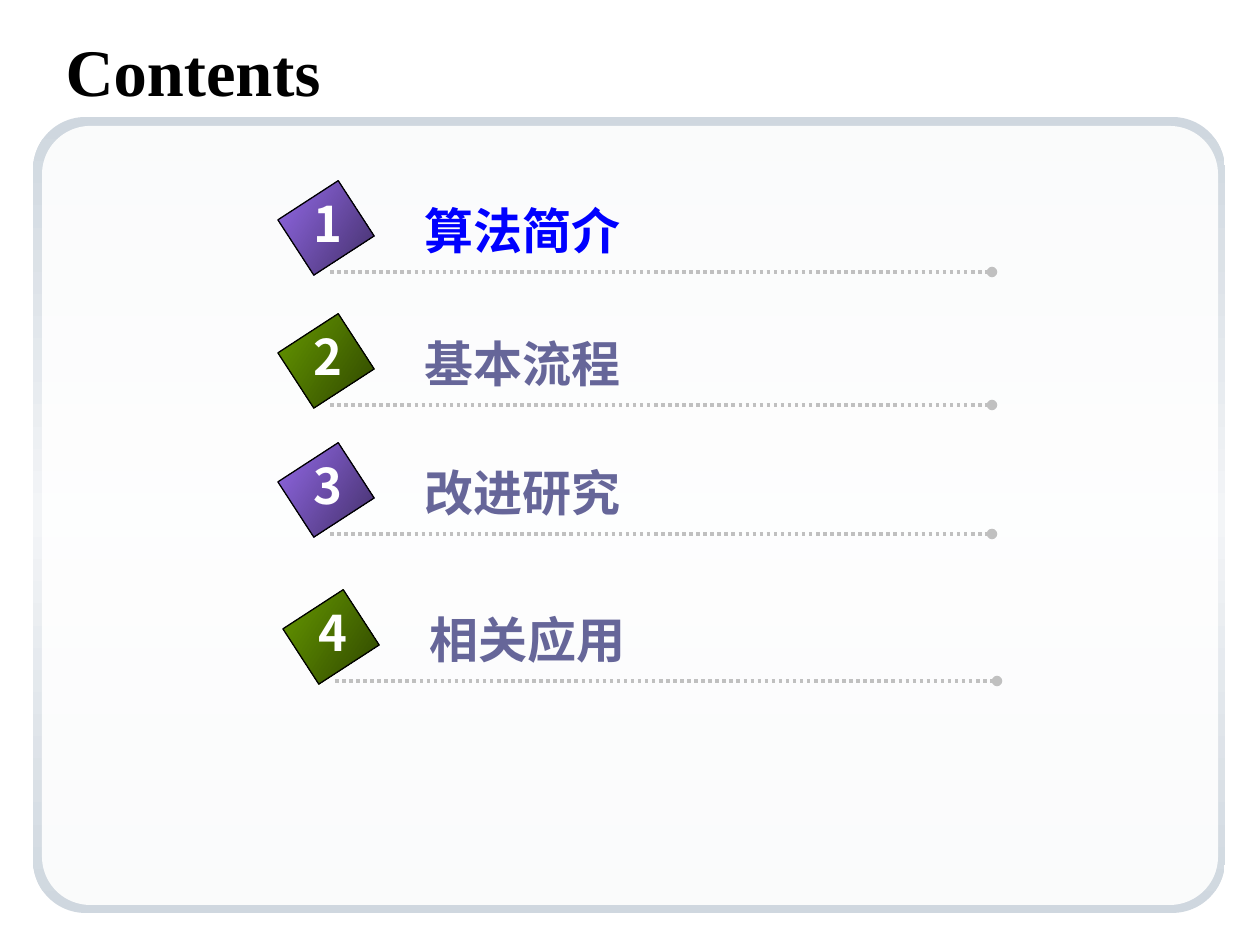
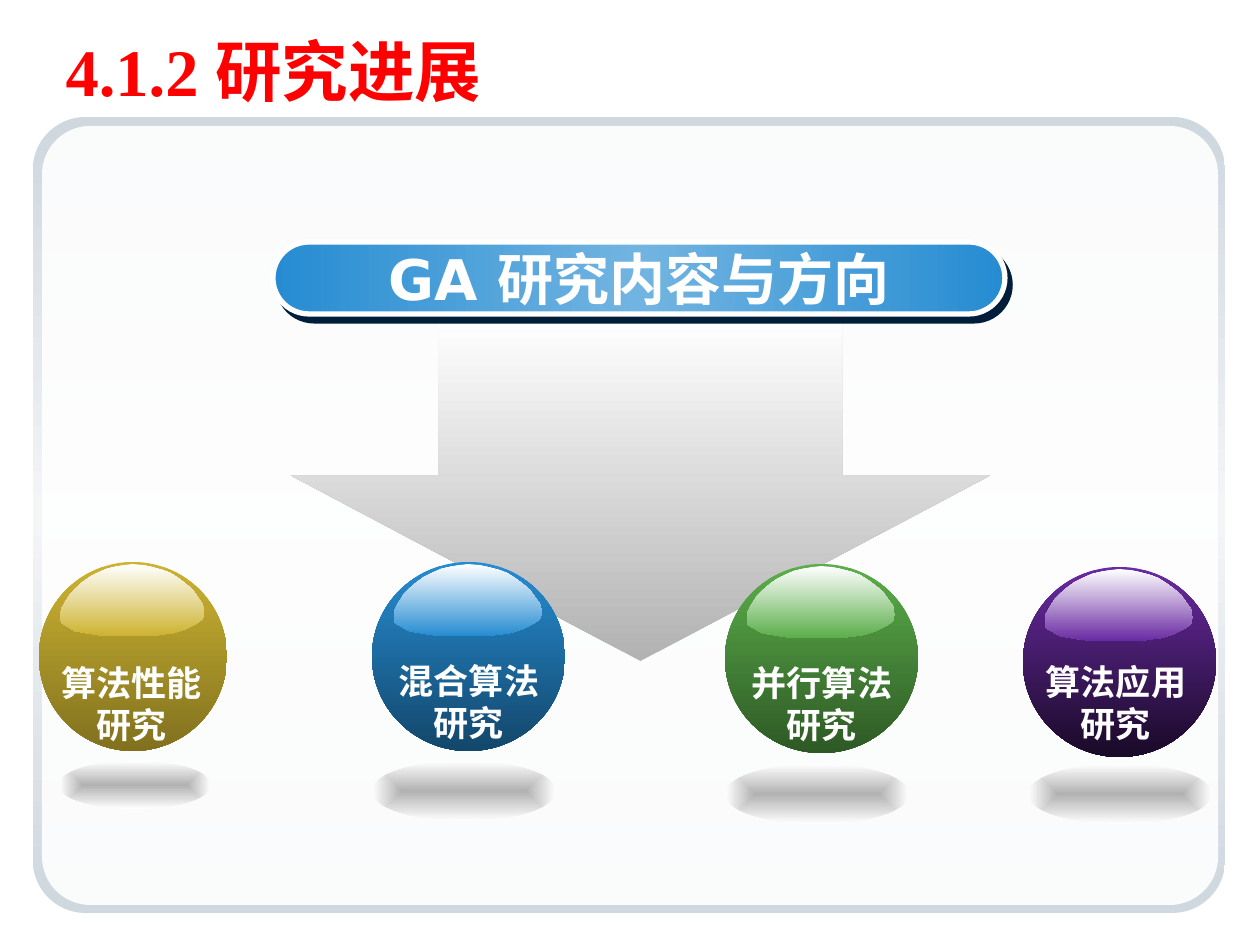
"""Builds a contents slide and a research directions slide."""
from lxml.etree import SubElement
from pptx import Presentation
from pptx.dml.color import RGBColor
from pptx.enum.dml import MSO_LINE
from pptx.enum.shapes import MSO_CONNECTOR, MSO_SHAPE
from pptx.enum.text import MSO_ANCHOR, MSO_AUTO_SIZE, PP_ALIGN
from pptx.oxml import parse_xml
from pptx.oxml.ns import nsdecls, qn
from pptx.util import Pt

PX = 914400 / 126
CJK, SERIF, SANS, BODY = "Noto Sans CJK SC", "Times New Roman", "DejaVu Sans", "Arial"
WHITE, BLACK, RED, BLUE, SLATE = "FFFFFF", "000000", "FF0000", "0000FF", "666699"
SILVER, NAVY = "C0C0C0", "001D3A"
GREY_FADE = ("B2B2B2", "FEFEFE")
FRAME_FADE = ("CFD7DF", "F3F5F7", "CFD7DF")
PILL_FADE = ("268CD2", "72B4E1", "268CD2")
DIAMOND_FADES = (("9369E7", "43306A"), ("669900", "2F4600"))

FRAME = (33, 117, 1192, 796)
PANEL = (42, 126, 1176, 779)
TITLE = (53, 31, 1176, 78)

CONTENTS = [
    ("算法简介", BLUE, 330, 272),
    ("基本流程", SLATE, 330, 405),
    ("改进研究", SLATE, 330, 534),
    ("相关应用", SLATE, 335, 681),
]

BALLS = [
    {"lines": ["算法性能", "研究"], "fade": ("CDB331", "81711F"), "ball": (39, 562, 188, 189),
     "label": (40, 655, 184, 97), "shade": (59, 761, 152, 48)},
    {"lines": ["混合算法研究"], "fade": ("268CD2", "13476B"), "ball": (372, 562, 193, 189),
     "label": (382, 653, 174, 97), "shade": (372, 761, 184, 60)},
    {"lines": ["并行算法研究"], "fade": ("5BAE4A", "2E5925"), "ball": (725, 564, 193, 189),
     "label": (735, 655, 174, 97), "shade": (725, 764, 184, 60)},
    {"lines": ["算法应用", "研究"], "fade": ("692AA2", "190A27"), "ball": (1023, 567, 193, 190),
     "label": (1024, 654, 184, 97), "shade": (1028, 764, 184, 60)},
]
BALL_WIDTH = 193
GLOSS = [
    (146, 40), (148, 49), (146, 55), (139, 60), (129, 65), (116, 69), (101, 71), (89, 72),
    (53, 72), (39, 71), (26, 69), (15, 67), (8, 63), (1, 59), (0, 53), (1, 45), (5, 38),
    (10, 30), (16, 24), (23, 18), (30, 13), (38, 9), (47, 5), (55, 3), (66, 1), (74, 0),
    (85, 1), (94, 3), (105, 6), (113, 9), (121, 14), (129, 20), (136, 26), (141, 33),
]


def emu(*lengths):
    return [round(v * PX) for v in lengths]


def color(hex_text):
    return RGBColor.from_string(hex_text)


def fade(sp, colors, angle=None):
    """Fill with evenly spaced stops, along an angle or outwards from the centre."""
    stops = "".join(
        f'<a:gs pos="{100000 * i // (len(colors) - 1)}"><a:srgbClr val="{c}"/></a:gs>'
        for i, c in enumerate(colors))
    if angle is None:
        way = ('<a:path path="rect"><a:fillToRect l="50000" t="50000" r="50000" b="50000"/>'
               '</a:path>')
    else:
        way = f'<a:lin ang="{angle * 60000}" scaled="0"/>'
    sp.fill.solid()
    spPr = sp.element.spPr
    spPr.replace(spPr.find(qn("a:solidFill")), parse_xml(
        f'<a:gradFill {nsdecls("a")} rotWithShape="0"><a:gsLst>{stops}</a:gsLst>{way}</a:gradFill>'))


def plain(sp):
    sp.shadow.inherit = False
    sp.line.fill.background()
    return sp


def add_shape(shapes, kind, box, adjustments=()):
    sp = plain(shapes.add_shape(kind, *emu(*box)))
    for i, value in enumerate(adjustments):
        sp.adjustments[i] = value
    return sp


def write(p, text, font, size, hex_text, align=PP_ALIGN.LEFT):
    p.alignment = align
    r = p.add_run()
    r.text = text
    r.font.name, r.font.size, r.font.bold = font, Pt(size), True
    r.font.color.rgb = color(hex_text)
    SubElement(r.font._element, qn("a:ea")).set("typeface", CJK)


def add_label(shapes, box, lines, font, size, hex_text, align, wrap=False):
    tf = shapes.add_textbox(*emu(*box)).text_frame
    tf.word_wrap = wrap
    tf.auto_size = MSO_AUTO_SIZE.SHAPE_TO_FIT_TEXT
    for i, line in enumerate(lines):
        p = tf.add_paragraph() if i else tf.paragraphs[0]
        write(p, line, font, size, hex_text, align)


def set_up_layout(layout, s):
    """Move the framed panel behind the layout and place its title."""
    frame = add_shape(s.shapes, MSO_SHAPE.ROUNDED_RECTANGLE, FRAME, [0.066])
    fade(frame, FRAME_FADE, 90)
    panel = add_shape(s.shapes, MSO_SHAPE.ROUNDED_RECTANGLE, PANEL, [0.062])
    panel.fill.solid()
    panel.fill.fore_color.rgb = color(WHITE)
    clr = panel.element.spPr.find(qn("a:solidFill"))[0]
    SubElement(clr, qn("a:alpha")).set("val", "90000")
    for i, sp in enumerate((frame, panel)):
        sp.element.nvSpPr.cNvPr.set("id", str(20 + i))
        layout.shapes.element.insert(2 + i, sp.element)
    title = layout.placeholders[0]
    title.left, title.top, title.width, title.height = emu(*TITLE)
    title.text_frame.vertical_anchor = MSO_ANCHOR.MIDDLE
    title.text_frame.auto_size = MSO_AUTO_SIZE.NONE


def set_title(s, text, hex_text):
    write(s.shapes.title.text_frame.paragraphs[0], text, SERIF, 38, hex_text)


def add_dotted_line(shapes, x, y, width):
    c = shapes.add_connector(MSO_CONNECTOR.STRAIGHT, *emu(x, y, x + width, y))
    c.line.color.rgb = color(SILVER)
    c.line.width = Pt(2)
    c.line.dash_style = MSO_LINE.ROUND_DOT
    spPr = c.element.spPr
    SubElement(spPr.find(qn("a:ln")), qn("a:tailEnd")).set("type", "oval")
    SubElement(spPr, qn("a:effectLst"))


def add_contents_row(s, number, text, hex_text, x, y):
    shapes = s.shapes.add_group_shape().shapes
    add_dotted_line(shapes, x, y, 662)
    diamond = add_shape(shapes, MSO_SHAPE.RECTANGLE, (x - 37, y - 80, 66, 72))
    diamond.rotation = 57
    fade(diamond, DIAMOND_FADES[(number - 1) % 2], 33)
    diamond.line.color.rgb = color(BLACK)
    diamond.line.width = Pt(0.75)
    add_label(shapes, (x + 82, y - 78, 232, 72), [text], CJK, 28, hex_text, PP_ALIGN.LEFT)
    add_label(shapes, (x - 29, y - 85, 53, 72), [str(number)], CJK, 28, WHITE, PP_ALIGN.CENTER)


def add_pill(s):
    pill = add_shape(s.shapes, MSO_SHAPE.ROUNDED_RECTANGLE, (273, 242, 732, 72), [0.5])
    fade(pill, PILL_FADE, 180)
    pill.line.color.rgb = color(WHITE)
    pill.line.width = Pt(3)
    pill.element.spPr.find(qn("a:effectLst")).append(parse_xml(
        f'<a:outerShdw {nsdecls("a")} blurRad="0" dist="{Pt(5)}" dir="{53 * 60000}" algn="ctr" '
        f'rotWithShape="0"><a:srgbClr val="{NAVY}"/></a:outerShdw>'))
    tf = pill.text_frame
    tf.word_wrap = False
    tf.vertical_anchor = MSO_ANCHOR.MIDDLE
    write(tf.paragraphs[0], "GA 研究内容与方向", SANS, 32, WHITE, PP_ALIGN.CENTER)


def add_ball(s, item):
    shapes = s.shapes.add_group_shape().shapes
    x, y, width, _ = item["ball"]
    fade(add_shape(shapes, MSO_SHAPE.OVAL, item["ball"]), item["fade"], 90)
    k = width / BALL_WIDTH
    points = [emu(x + (22 + gx) * k, y + 2 + gy) for gx, gy in GLOSS]
    builder = shapes.build_freeform(*points[0])
    builder.add_line_segments(points[1:], close=True)
    fade(plain(builder.convert_to_shape()), (WHITE, item["fade"][0]), 90)
    add_label(shapes, item["label"], item["lines"], BODY, 20, WHITE, PP_ALIGN.CENTER,
              wrap=len(item["lines"]) == 1)
    fade(add_shape(shapes, MSO_SHAPE.OVAL, item["shade"]), GREY_FADE)


def main():
    prs = Presentation()
    prs.slide_width, prs.slide_height = emu(1260, 945)
    layout = prs.slide_layouts[5]

    s = prs.slides.add_slide(layout)
    set_up_layout(layout, s)
    set_title(s, "Contents", BLACK)
    for number, row in enumerate(CONTENTS, 1):
        add_contents_row(s, number, *row)

    s = prs.slides.add_slide(layout)
    set_title(s, "4.1.2 研究进展", RED)
    arrow = add_shape(s.shapes, MSO_SHAPE.DOWN_ARROW, (291, 320, 699, 341), [0.578, 0.544])
    fade(arrow, GREY_FADE, 270)
    add_pill(s)
    for item in BALLS:
        add_ball(s, item)

    prs.save("out.pptx")


if __name__ == "__main__":
    main()
